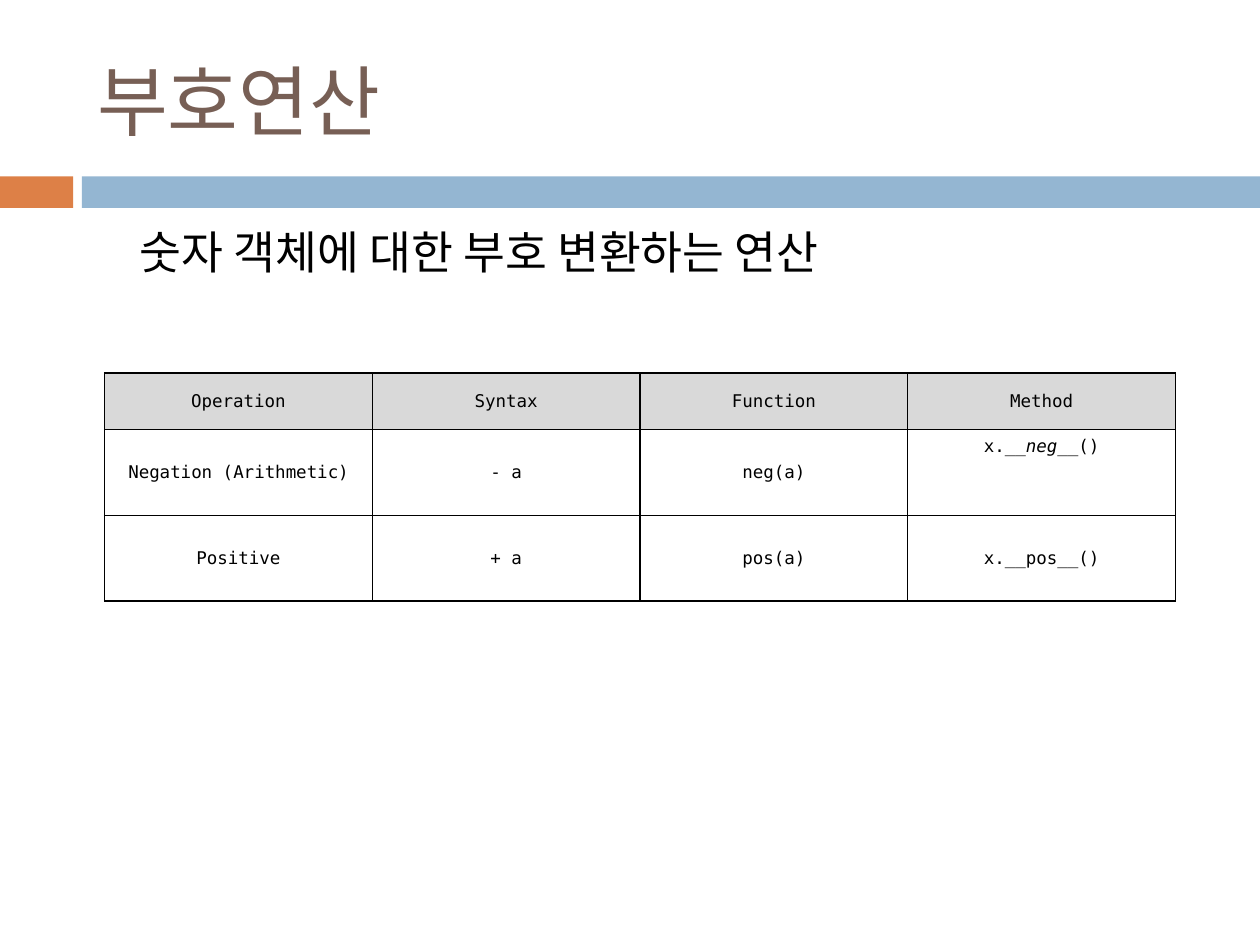
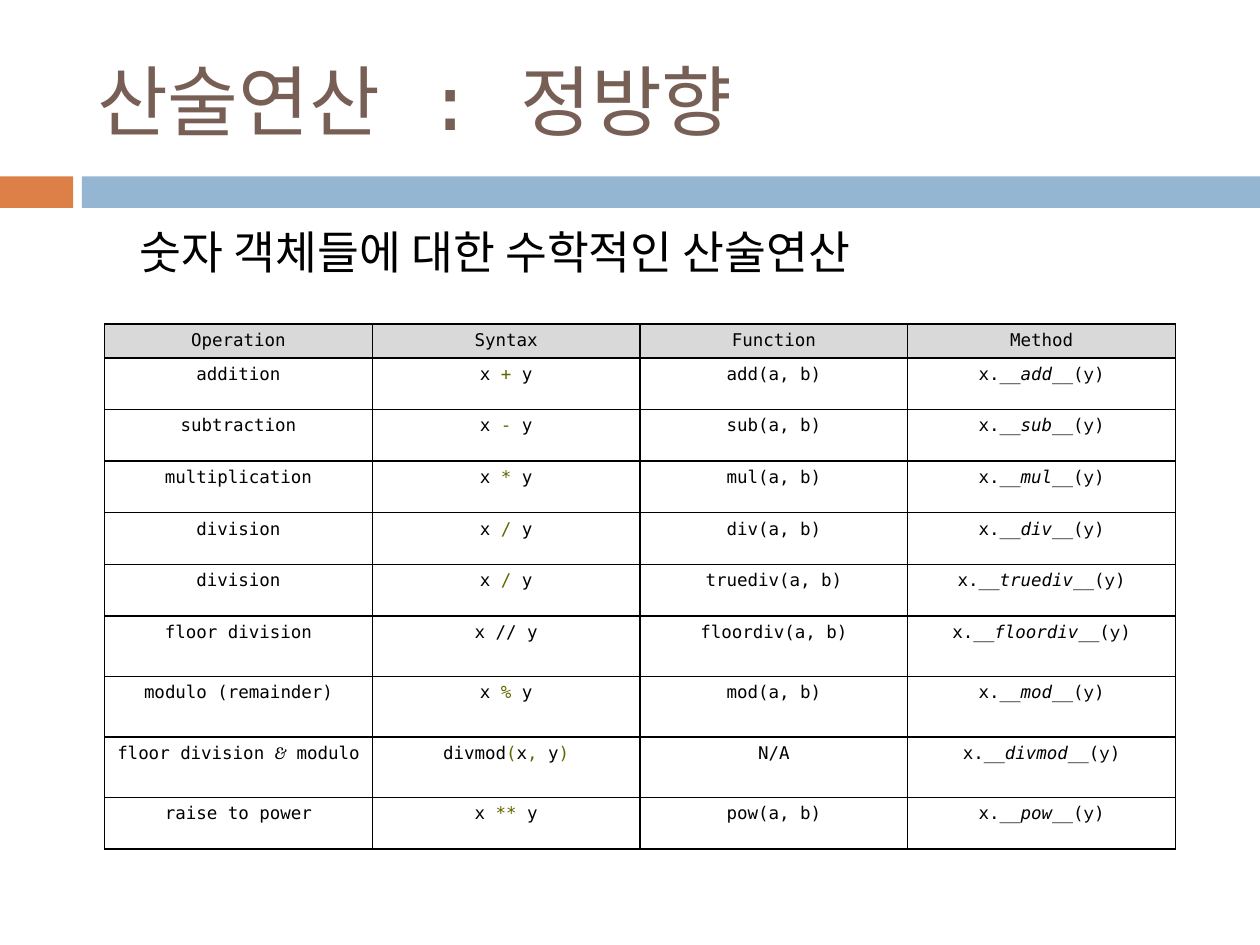
import pptx
import pptx.util
import pptx.dml.color
import pptx.enum.shapes
import pptx.enum.text
import pptx.oxml
import pptx.oxml.ns
import lxml.etree

Inches = pptx.util.Inches
Pt = pptx.util.Pt
RGBColor = pptx.dml.color.RGBColor
Anchor = pptx.enum.text.MSO_ANCHOR
qn = pptx.oxml.ns.qn

BROWN = RGBColor(0x77, 0x5F, 0x55)
ORANGE = RGBColor(0xDD, 0x80, 0x47)
BLUE = RGBColor(0x94, 0xB6, 0xD2)
GREY = RGBColor(0xD9, 0xD9, 0xD9)
OLIVE = RGBColor(0x66, 0x66, 0x00)
BLACK = RGBColor(0, 0, 0)
MONO = "DejaVu Sans Mono"

# Left edge, width and colour of the bands under the title
BANDS = [(0, 0.58, ORANGE), (0.65, 9.35, BLUE)]
HEADS = ["Operation", "Syntax", "Function", "Method"]

# A cell is a string, or a list of plain strings and (text, style) pairs
STYLES = {
    "sign": (MONO, OLIVE, False),
    "name": (MONO, BLACK, True),
    "arg": ("Courier New", BLACK, False),
    "amp": ("Cambria", BLACK, True),
}

signs = [
    ["Negation (Arithmetic)", "- a", "neg(a)", ["x.", ("__neg__", "name"), "()"]],
    ["Positive", "+ a", "pos(a)", "x.__pos__()"],
]

# Operation, syntax (a lone sign stands between x and y), function name
sums = [
    ("addition", "+", "add"),
    ("subtraction", "-", "sub"),
    ("multiplication", "*", "mul"),
    ("division", "/", "div"),
    ("division", "/", "truediv"),
    ("floor division", "x // y", "floordiv"),
    ("modulo (remainder)", "%", "mod"),
    (["floor division ", ("&", "amp"), " modulo"],
     ["divmod", ("(", "sign"), "x", (",", "sign"), " y", (")", "sign")],
     "divmod"),
    ("raise to power", "**", "pow"),
]
maths = []
for label, code, name in sums:
    if len(code) < 3:
        code = ["x ", (code, "sign"), " y"]
    call = "N/A" if name == "divmod" else f"{name}(a, b)"
    maths.append([label, code, call,
                  ["x.", (f"__{name}__", "name"), "(", ("y", "arg"), ")"]])

# Title, lead line, table top, row heights, rows, and the cells kept at the top
PAGES = [
    ("부호연산", "숫자 객체에 대한 부호 변환하는 연산",
     2.96, [0.45, 0.68, 0.68], signs, {(1, 3)}),
    ("산술연산 : 정방향", "숫자 객체들에 대한 수학적인 산술연산",
     2.57, [0.27] + [0.41] * 5 + [0.48] * 3 + [0.41], maths,
     {(r, c) for r in range(1, 10) for c in range(4)}),
]


def add_run(para, text, size, color, face=MONO, slant=False):
    run = para.add_run()
    run.text = text
    run.font.size = Pt(size)
    run.font.name = face
    run.font.color.rgb = color
    run.font.bold = False
    run.font.italic = slant
    return run


def place(shape, left, top, width, height):
    shape.left, shape.top = Inches(left), Inches(top)
    shape.width, shape.height = Inches(width), Inches(height)


deck = pptx.Presentation()
deck.slide_width, deck.slide_height = Inches(10), Inches(7.5)

for head, lead, top, heights, rows, high in PAGES:
    slide = deck.slides.add_slide(deck.slide_layouts[1])

    for left, width, color in BANDS:
        band = slide.shapes.add_shape(
            pptx.enum.shapes.MSO_SHAPE.RECTANGLE,
            Inches(left), Inches(1.4), Inches(width), Inches(0.25))
        band.shadow.inherit = False
        band.fill.solid()
        band.fill.fore_color.rgb = color
        band.line.fill.background()

    title = slide.shapes.title
    place(title, 0.67, 0.25, 8.92, 1.08)
    title.text_frame.vertical_anchor = Anchor.MIDDLE
    para = title.text_frame.paragraphs[0]
    para.alignment = pptx.enum.text.PP_ALIGN.LEFT
    run = add_run(para, head, 44, BROWN)
    east = lxml.etree.SubElement(run.font._element, qn("a:ea"))
    east.set("typeface", MONO)

    body = slide.placeholders[1]
    place(body, 0.51, 1.73, 9, 1)
    para = body.text_frame.paragraphs[0]
    props = para._p.get_or_add_pPr()
    props.set("marL", str(Inches(0.5)))
    props.set("indent", "0")
    lxml.etree.SubElement(props, qn("a:buNone"))
    para.level = 1
    para.space_before = Pt(0)
    add_run(para, lead, 26, BLACK)

    grid = slide.shapes.add_table(
        len(heights), len(HEADS), Inches(0.83), Inches(top),
        Inches(8.5), Inches(sum(heights))).table
    grid.first_row = False
    grid.horz_banding = False
    for col in grid.columns:
        col.width = Inches(8.5 / len(HEADS))
    for r, (height, row) in enumerate(zip(heights, [HEADS] + rows)):
        grid.rows[r].height = Inches(height)
        for c, parts in enumerate(row):
            cell = grid.cell(r, c)
            if (r, c) not in high:
                cell.vertical_anchor = Anchor.MIDDLE
                cell.margin_left = cell.margin_right = Inches(0.02)
                cell.margin_top = cell.margin_bottom = Inches(0.01)
            for side in ("lnL", "lnR", "lnT", "lnB"):
                cell._tc.get_or_add_tcPr().append(pptx.oxml.parse_xml(
                    f'<a:{side} {pptx.oxml.ns.nsdecls("a")} w="{Pt(1)}">'
                    f'<a:solidFill><a:srgbClr val="{BLACK}"/></a:solidFill>'
                    f'</a:{side}>'))
            if r == 0:
                cell.fill.solid()
                cell.fill.fore_color.rgb = GREY
            else:
                cell.fill.background()
            para = cell.text_frame.paragraphs[0]
            para.alignment = pptx.enum.text.PP_ALIGN.CENTER
            for part in [parts] if isinstance(parts, str) else parts:
                if isinstance(part, str):
                    add_run(para, part, 10, BLACK)
                else:
                    text, style = part
                    face, color, slant = STYLES[style]
                    add_run(para, text, 10, color, face, slant)

deck.save("out.pptx")
